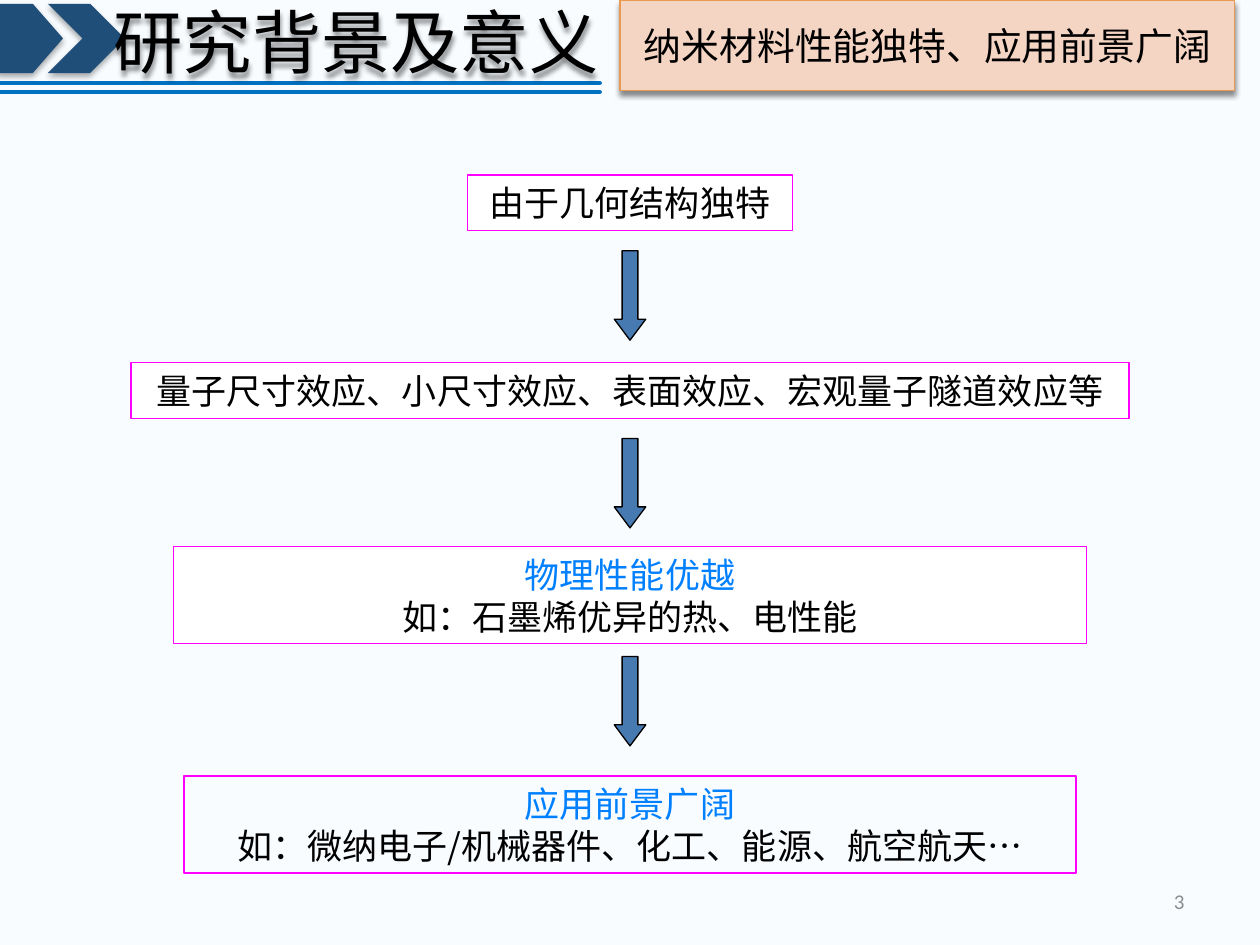
from pptx import Presentation
from pptx.dml.color import RGBColor
from pptx.enum.shapes import MSO_CONNECTOR, MSO_SHAPE as Shape
from pptx.enum.text import MSO_ANCHOR as Anchor, PP_ALIGN as Align
from pptx.oxml.ns import qn
from pptx.util import Inches, Pt
from lxml.etree import SubElement

# Grid of 100 columns by 75 rows
CELL = Inches(0.1)
CENTRE = 50
COLORS = {
    "page": "F8FCFF", "navy": "1F4E79", "rule": "0070C0", "white": "FFFFFF",
    "magenta": "FF00FF", "black": "000000", "highlight": "0080FF",
    "arrow": "477AB1", "peach": "F4D4C3", "orange": "E89A53", "grey": "8C8C8C",
}
CJK, CJK_TITLE, LATIN = "Noto Sans CJK JP", "Noto Sans CJK SC", "Calibri"


def color(name):
    return RGBColor.from_string(COLORS[name])


def cells(*values):
    return [round(value * CELL) for value in values]


class SlideBuilder:
    def __init__(self, page):
        self.page = page
        self.shapes = page.shapes
        fill = page.background.fill
        fill.solid()
        fill.fore_color.rgb = color("page")

    def paint(self, shape, fill=None, line=None, weight=0.75):
        shape.shadow.inherit = False
        if fill:
            shape.fill.solid()
            shape.fill.fore_color.rgb = color(fill)
        else:
            shape.fill.background()
        if line:
            shape.line.color.rgb = color(line)
            shape.line.width = Pt(weight)
        else:
            shape.line.fill.background()
        return shape

    def shadow(self, shape, alpha, blur, distance):
        effects = shape._element.spPr.find(qn("a:effectLst"))
        if effects is None:
            effects = SubElement(shape._element.spPr, qn("a:effectLst"))
        outer = SubElement(effects, qn("a:outerShdw"), blurRad=str(Pt(blur)),
                           dist=str(Pt(distance)), dir="5400000",
                           algn="t", rotWithShape="0")
        tint = SubElement(outer, qn("a:srgbClr"), val=COLORS["black"])
        SubElement(tint, qn("a:alpha"), val=str(alpha * 1000))

    def preset(self, kind, area, adjust=(), **paint):
        shape = self.shapes.add_shape(kind, *cells(*area))
        for index, value in enumerate(adjust):
            shape.adjustments[index] = value
        return self.paint(shape, **paint)

    def outline(self, points, **paint):
        start, *rest = [cells(*point) for point in points]
        builder = self.shapes.build_freeform(*start)
        builder.add_line_segments(rest, close=True)
        return self.paint(builder.convert_to_shape(), **paint)

    def rule(self, right, row):
        line = self.shapes.add_connector(MSO_CONNECTOR.STRAIGHT,
                                         *cells(0, row, right, row))
        line.line.color.rgb = color("rule")
        line.line.width = Pt(2.5)
        line.line._get_or_add_ln().set("cap", "rnd")
        SubElement(line._element.spPr, qn("a:effectLst"))

    def add_text(self, shape, lines, size, font, asian=CJK_TITLE,
                 align=Align.CENTER, anchor=Anchor.MIDDLE, spacing=None):
        frame = shape.text_frame
        frame.word_wrap = True
        frame.vertical_anchor = anchor
        for index, (text, ink) in enumerate(lines):
            para = frame.add_paragraph() if index else frame.paragraphs[0]
            para.alignment = align
            if spacing:
                para.line_spacing = Pt(spacing)
            span = para.add_run()
            span.text = text
            for name, value in {"size": Pt(size), "name": font}.items():
                setattr(span.font, name, value)
            span.font.color.rgb = color(ink)
            SubElement(span._r.get_or_add_rPr(), qn("a:ea"), typeface=asian)

    def label(self, area, text, ink, size, font, **style):
        box = self.shapes.add_textbox(*cells(*area))
        self.add_text(box, [(text, ink)], size, font, **style)
        return box

    def step(self, top, width, lines, fill="white"):
        height = 1.1 + 3.3 * len(lines)
        area = (CENTRE - width / 2, top, width, height)
        box = self.preset(Shape.RECTANGLE, area, fill=fill, line="magenta")
        self.add_text(box, lines, 20, CJK, asian=CJK, anchor=Anchor.TOP,
                      spacing=24)

    def arrow(self, top):
        self.preset(Shape.DOWN_ARROW, (CENTRE - 1.25, top, 2.5, 7.1),
                    (0.5, 0.667), fill="arrow", line="black")


def main():
    deck = Presentation()
    deck.slide_width, deck.slide_height = cells(100, 75)
    slide = SlideBuilder(deck.slides.add_slide(deck.slide_layouts[6]))

    # Header marks and double rule
    chevron = slide.preset(Shape.CHEVRON, (3.8, 0.3, 6.1, 5.5), fill="navy")
    pointer = slide.outline([(-0.2, 0.3), (2.6, 0.3), (5, 3.05),
                             (2.6, 5.8), (-0.2, 5.8)], fill="navy")
    for mark in (chevron, pointer):
        slide.shadow(mark, 32, 3.5, 2.2)
    for row in (7.3, 6.6):
        slide.rule(47.6, row)

    # Chain of reasoning
    slide.step(13.9, 25.8, [("由于几何结构独特", "black")])
    slide.step(28.8, 79.2, [
        ("量子尺寸效应、小尺寸效应、表面效应、宏观量子隧道效应等", "black")])
    slide.step(43.4, 72.5, [("物理性能优越", "highlight"),
                            ("如：石墨烯优异的热、电性能", "black")])
    slide.step(61.6, 70.8, [
        ("应用前景广阔", "highlight"),
        ("如：微纳电子/机械器件、化工、能源、航空航天…", "black")], fill=None)
    for top in (19.9, 34.8, 52.1):
        slide.arrow(top)

    # Section heading, slide title and page number
    heading = slide.label((6, 0, 44.5, 6.5), "研究背景及意义", "black",
                          39.6, CJK_TITLE)
    slide.shadow(heading, 45, 3, 2.4)
    title = slide.preset(Shape.RECTANGLE, (49.2, 0, 48.8, 7.2),
                         fill="peach", line="orange", weight=0.79)
    slide.shadow(title, 45, 3, 2.4)
    slide.add_text(title, [("纳米材料性能独特、应用前景广阔", "black")],
                   21.6, LATIN)
    slide.label((71.7, 69.5, 23.3, 4), "3", "grey", 12, LATIN,
                align=Align.RIGHT)

    deck.save("out.pptx")


if __name__ == "__main__":
    main()
